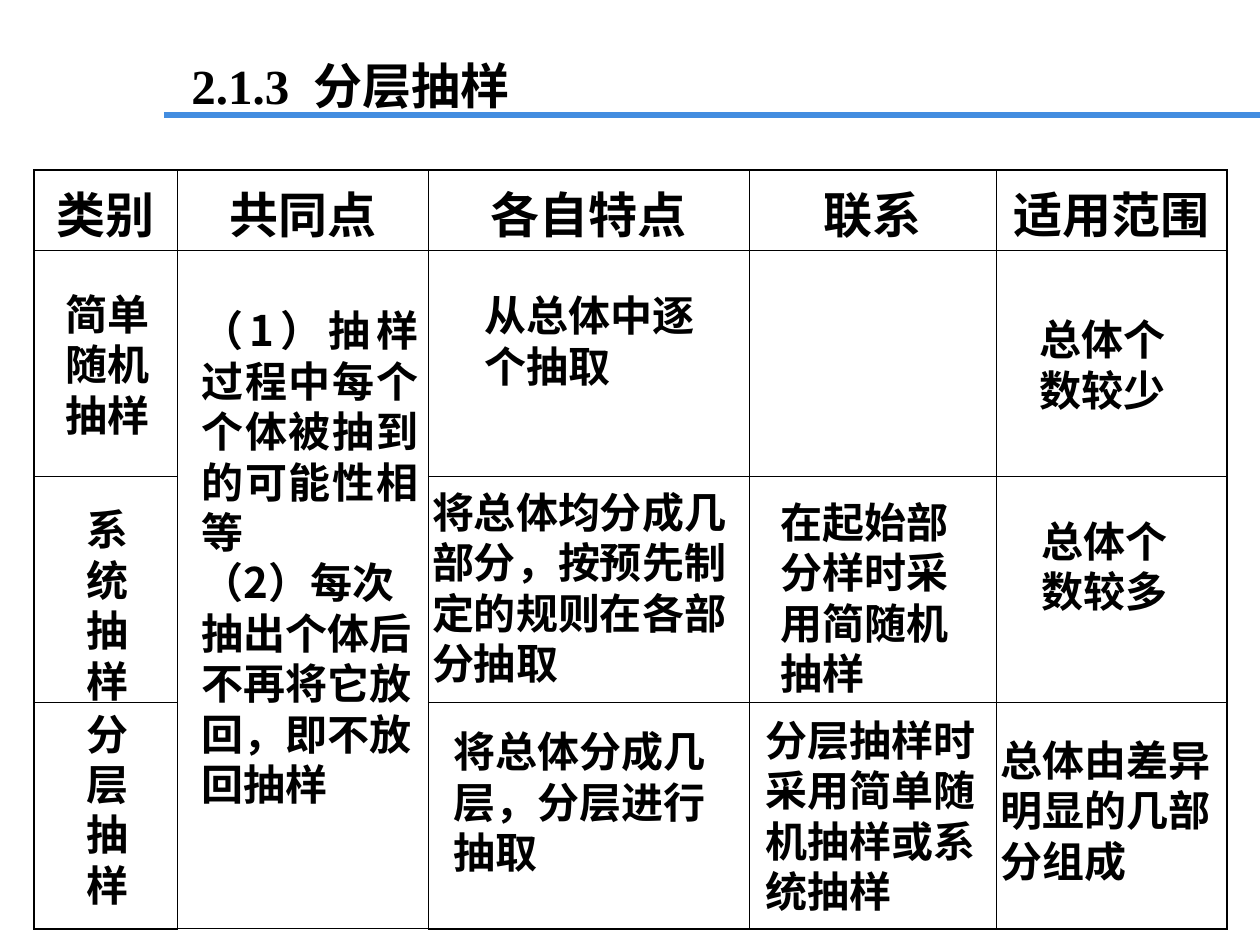
import pptx
import pptx.util
import pptx.dml.color
import pptx.enum.shapes
import pptx.enum.text
import pptx.oxml
import pptx.oxml.ns

Pt = pptx.util.Pt
ALIGN = pptx.enum.text.PP_ALIGN
TOP = pptx.enum.text.MSO_ANCHOR.TOP
HUES = {"ink": "000000", "rule": "438DE0"}
SANS, SERIF = "Noto Sans CJK SC", "Times New Roman"

HEADS = ["类别", "共同点", "各自特点", "联系", "适用范围"]
COLS = [82, 143.3, 183.6, 141.1, 131.8]
ROWS = [46] + [129.2] * 3

# left, top (from the table corner), width, line count, text
NOTES = [
    (10.8, 61.2, 77.8, 3, "简单随机抽样"),
    (23.1, 184.3, 48.2, 4, "系统抽 样"),
    (23.1, 301, 48.2, 4, "分\n层\n抽 样"),
    (88.6, 70.6, 138.2, 10,
     "（1）抽样过程中每个个体被抽到的可能性相等\n"
     "（2）每次抽出个体后不再将它放回，即不放回抽样"),
    (250.6, 61.9, 144, 2, "从总体中逐个抽取"),
    (220.4, 174.2, 192.2, 4, "将总体均分成几部分，按预先制定的规则在各部分抽取"),
    (232.6, 311, 162, 3, "将总体分成几层，分层进行抽取"),
    (419.8, 180, 131.8, 4, "在起始部分样时采用简随机抽样"),
    (411.2, 304.6, 156.2, 4, "分层抽样时采用简单随机抽样或系统抽样"),
    (567.4, 75.6, 102.2, 2, "总体个数较少"),
    (568.8, 190.8, 108, 2, "总体个数较多"),
    (545.1, 316.1, 144, 3, "总体由差异明显的几部分组成"),
]


def color(name):
    return pptx.dml.color.RGBColor.from_string(HUES[name])


def style(run, size, face=SANS):
    font = run.font
    font.size, font.bold, font.name = Pt(size), True, face
    font.color.rgb = color("ink")
    east = pptx.oxml.parse_xml(
        f'<a:ea {pptx.oxml.ns.nsdecls("a")} typeface="{SANS}"/>')
    run._r.get_or_add_rPr().find(pptx.oxml.ns.qn("a:latin")).addnext(east)


def pad(part, top, low):
    part.margin_left = part.margin_right = Pt(7.2)
    part.margin_top, part.margin_bottom = Pt(top), Pt(low)
    part.vertical_anchor = TOP


def space(para, size, align=ALIGN.LEFT):
    para.alignment = align
    para.line_spacing = Pt(1.2 * size)
    para.space_before = Pt(0)


def heading(slide, x, y, w, h):
    # Title text
    title = slide.shapes.title
    title.left, title.top, title.width, title.height = map(Pt, (x + 8.6, y, w, h))
    frame = title.text_frame
    frame.word_wrap = True
    frame.auto_size = pptx.enum.text.MSO_AUTO_SIZE.NONE
    pad(frame, 6.5, 0)
    para = frame.paragraphs[0]
    space(para, 28)
    for text, face in (("2.1.3  ", SERIF), ("分层抽样", SANS)):
        run = para.add_run()
        run.text = text
        style(run, 28, face)
    # Rule to the slide's right edge
    low = Pt(y + h - 0.5)
    rule = slide.shapes.add_connector(
        pptx.enum.shapes.MSO_CONNECTOR.STRAIGHT, Pt(x), low, Pt(720), low)
    rule.line.color.rgb = color("rule")
    rule.line.width = Pt(3)
    rule._element.spPr.append(pptx.oxml.parse_xml(
        f'<a:effectLst {pptx.oxml.ns.nsdecls("a")}/>'))


def border(cell, row, col):
    outer = {"L": col == 0, "R": col == len(COLS) - 1,
             "T": row == 0, "B": row == len(ROWS) - 1}
    props = cell._tc.get_or_add_tcPr()
    for spot, (side, edge) in enumerate(outer.items()):
        width = Pt(1.08 if edge else 0.45)
        props.insert(spot, pptx.oxml.parse_xml(
            f'<a:ln{side} {pptx.oxml.ns.nsdecls("a")} w="{width}"><a:solidFill>'
            f'<a:srgbClr val="{HUES["ink"]}"/></a:solidFill></a:ln{side}>'))


def grid(slide, x, y):
    table = slide.shapes.add_table(
        len(ROWS), len(COLS), Pt(x), Pt(y), Pt(sum(COLS)), Pt(sum(ROWS))).table
    table.first_row = table.horz_banding = False
    for col, wide in zip(table.columns, COLS):
        col.width = Pt(wide)
    for r, tall in enumerate(ROWS):
        table.rows[r].height = Pt(tall)
        for c in range(len(COLS)):
            cell = table.cell(r, c)
            cell.fill.background()
            border(cell, r, c)
    # Header row
    for c, text in enumerate(HEADS):
        cell = table.cell(0, c)
        cell.text = text
        pad(cell, 10.8, 1)
        para = cell.text_frame.paragraphs[0]
        space(para, 28, ALIGN.CENTER)
        style(para.runs[0], 28)
    # Shared feature spans all three methods
    table.cell(1, 1).merge(table.cell(3, 1))


def notes(slide, x, y):
    for left, top, wide, lines, text in NOTES:
        box = slide.shapes.add_textbox(
            Pt(x + left), Pt(y + top), Pt(wide), Pt(lines * 28.8 + 7.2))
        frame = box.text_frame
        frame.word_wrap = True
        pad(frame, 6.5, 0)
        frame.text = text
        for para in frame.paragraphs:
            first = para.text.startswith("（1）")
            space(para, 24, ALIGN.JUSTIFY if first else ALIGN.LEFT)
            style(para.runs[0], 24)


def main():
    deck = pptx.Presentation()
    deck.slide_width, deck.slide_height = Pt(720), Pt(540)
    slide = deck.slides.add_slide(deck.slide_layouts[5])
    grid(slide, 19.4, 97.2)
    notes(slide, 19.4, 97.2)
    heading(slide, 93.6, 25.2, 295.2, 41)
    deck.save("out.pptx")


if __name__ == "__main__":
    main()
